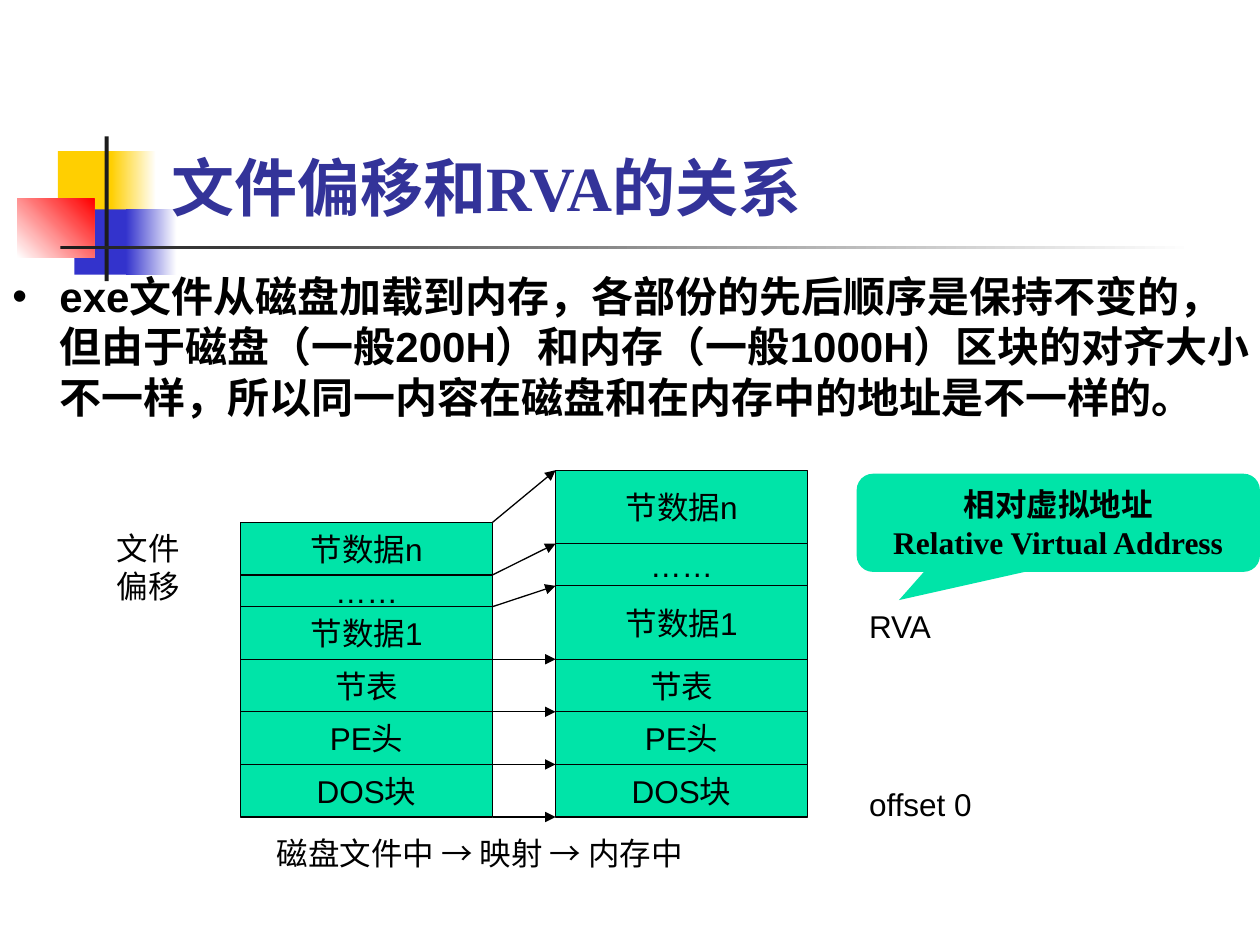
"""Build a slide that relates file offsets to relative virtual addresses."""
from dataclasses import dataclass
from itertools import accumulate

from lxml import etree
from pptx import Presentation
from pptx.dml.color import RGBColor
from pptx.enum.shapes import MSO_CONNECTOR, MSO_SHAPE
from pptx.enum.text import MSO_ANCHOR, PP_ALIGN
from pptx.oxml.ns import qn
from pptx.util import Cm, Pt

RECTANGLE = MSO_SHAPE.RECTANGLE
CALLOUT = MSO_SHAPE.ROUNDED_RECTANGULAR_CALLOUT
STRAIGHT = MSO_CONNECTOR.STRAIGHT
TOP, MIDDLE, BOTTOM = MSO_ANCHOR.TOP, MSO_ANCHOR.MIDDLE, MSO_ANCHOR.BOTTOM
LEFT, CENTER = PP_ALIGN.LEFT, PP_ALIGN.CENTER


@dataclass(frozen=True)
class Theme:
    sans: str = "Arial"
    serif: str = "Times New Roman"
    title_size: int = 36
    body_size: int = 24
    label_size: int = 18
    line_width: float = 0.75
    title: str = "333399"
    ink: str = "000000"
    block: str = "00E4A8"
    white: str = "FFFFFF"
    yellow: str = "FFCF01"
    blue: str = "3333CC"
    red: str = "FF0000"
    bar: str = "1C1C1C"


THEME = Theme()
SECTIONS = ["节数据n", "……", "节数据1", "节表", "PE头", "DOS块"]
DISK_HEIGHTS = [1.06, 0.64, 1.06, 1.06, 1.06, 1.06]
MEMORY_HEIGHTS = [1.48, 0.85, 1.48, 1.06, 1.06, 1.06]
DISK_LEFT, MEMORY_LEFT, COLUMN_WIDTH, COLUMN_BOTTOM = 4.85, 11.2, 5.08, 16.47


def color(value):
    return RGBColor.from_string(value)


def write_text(shape, text, size=THEME.label_size, font=THEME.sans, ink=THEME.ink,
               bold=False, align=LEFT, anchor=TOP, wrap=True):
    frame = shape.text_frame
    frame.text = text
    frame.word_wrap = wrap
    frame.vertical_anchor = anchor
    for paragraph in frame.paragraphs:
        paragraph.alignment = align
        for run in paragraph.runs:
            run.font.size = Pt(size)
            run.font.name = font
            run.font.bold = bold
            run.font.color.rgb = color(ink)


def add_text(slide, box, text, **style):
    shape = slide.shapes.add_textbox(*map(Cm, box))
    write_text(shape, text, **style)
    return shape


def add_block(slide, kind, box, fill, outlined=False):
    shape = slide.shapes.add_shape(kind, *map(Cm, box))
    shape.shadow.inherit = False
    shape.fill.solid()
    shape.fill.fore_color.rgb = color(fill)
    if outlined:
        shape.line.color.rgb = color(THEME.ink)
        shape.line.width = Pt(THEME.line_width)
    else:
        shape.line.fill.background()
    return shape


def add_gradient(slide, box, start, end, angle=0):
    shape = add_block(slide, RECTANGLE, box, start)
    shape.fill.gradient()
    shape.fill.gradient_angle = angle
    for stop, value in zip(shape.fill.gradient_stops, (start, end)):
        stop.color.rgb = color(value)


def add_arrow(slide, start, end):
    arrow = slide.shapes.add_connector(STRAIGHT, *map(Cm, (*start, *end)))
    arrow.line.color.rgb = color(THEME.ink)
    arrow.line.width = Pt(THEME.line_width)
    etree.SubElement(arrow.line._get_or_add_ln(), qn("a:tailEnd"), type="triangle")
    etree.SubElement(arrow._element.spPr, qn("a:effectLst"))


def add_bullet(paragraph, indent):
    properties = paragraph._p.get_or_add_pPr()
    properties.set("marL", str(Cm(indent)))
    properties.set("indent", str(-Cm(indent)))
    etree.SubElement(properties, qn("a:buFont"), typeface=THEME.sans)
    etree.SubElement(properties, qn("a:buChar"), char="•")


def add_decoration(slide):
    add_block(slide, RECTANGLE, (1.17, 3.05, 1.22, 1.32), THEME.yellow)
    add_gradient(slide, (2.24, 3.05, 0.91, 1.32), THEME.yellow, THEME.white)
    add_block(slide, RECTANGLE, (1.5, 4.22, 1.17, 1.32), THEME.blue)
    add_gradient(slide, (2.54, 4.22, 1.02, 1.32), THEME.blue, THEME.white)
    add_gradient(slide, (0.35, 4.01, 1.55, 1.18), THEME.white, THEME.red, 45)
    add_block(slide, RECTANGLE, (2.11, 2.75, 0.08, 2.92), THEME.bar)
    add_gradient(slide, (1.22, 4.95, 22.86, 0.08), THEME.bar, THEME.white)


def add_column(slide, left, heights):
    """Stack the sections down to the common bottom and return their edges."""
    edges = list(accumulate(heights, initial=COLUMN_BOTTOM - sum(heights)))
    for label, top, height in zip(SECTIONS, edges, heights):
        block = add_block(slide, RECTANGLE, (left, top, COLUMN_WIDTH, height),
                          THEME.block, outlined=True)
        write_text(block, label, align=CENTER, anchor=MIDDLE, wrap=False)
    return edges


def add_mapping(slide):
    disk_edges = add_column(slide, DISK_LEFT, DISK_HEIGHTS)
    memory_edges = add_column(slide, MEMORY_LEFT, MEMORY_HEIGHTS)
    for disk_edge, memory_edge in zip(disk_edges, memory_edges):
        add_arrow(slide, (DISK_LEFT + COLUMN_WIDTH, disk_edge),
                  (MEMORY_LEFT, memory_edge))
    add_text(slide, (2.1, 10.54, 2.12, 1.78), "文件偏移")
    add_text(slide, (5.33, 16.69, 11.6, 1.02), "磁盘文件中 → 映射 → 内存中")
    add_text(slide, (17.27, 12.12, 2.12, 1.02), "RVA")
    add_text(slide, (17.27, 15.7, 3.18, 1.02), "offset 0")


def add_callout(slide):
    callout = add_block(slide, CALLOUT, (17.27, 9.55, 8.13, 1.98), THEME.block)
    callout.adjustments[0] = -0.395
    callout.adjustments[1] = 0.787
    write_text(callout, "相对虚拟地址\nRelative Virtual Address",
               font=THEME.serif, bold=True, align=CENTER, anchor=MIDDLE)


def add_body(slide):
    body = add_text(
        slide, (0, 5.33, 25.5, 3.3),
        "exe文件从磁盘加载到内存，各部份的先后顺序是保持不变的，"
        "但由于磁盘（一般200H）和内存（一般1000H）区块的对齐大小不一样，"
        "所以同一内容在磁盘和在内存中的地址是不一样的。",
        size=THEME.body_size, bold=True)
    add_bullet(body.text_frame.paragraphs[0], 0.95)


def main():
    presentation = Presentation()
    presentation.slide_width, presentation.slide_height = Cm(25.4), Cm(19.05)
    slide = presentation.slides.add_slide(presentation.slide_layouts[6])
    add_decoration(slide)
    add_text(slide, (3.2, 0.58, 21.64, 4.06), "文件偏移和RVA的关系",
             size=THEME.title_size, font=THEME.serif, ink=THEME.title,
             bold=True, anchor=BOTTOM)
    add_mapping(slide)
    add_callout(slide)
    add_body(slide)
    presentation.save("out.pptx")


if __name__ == "__main__":
    main()
